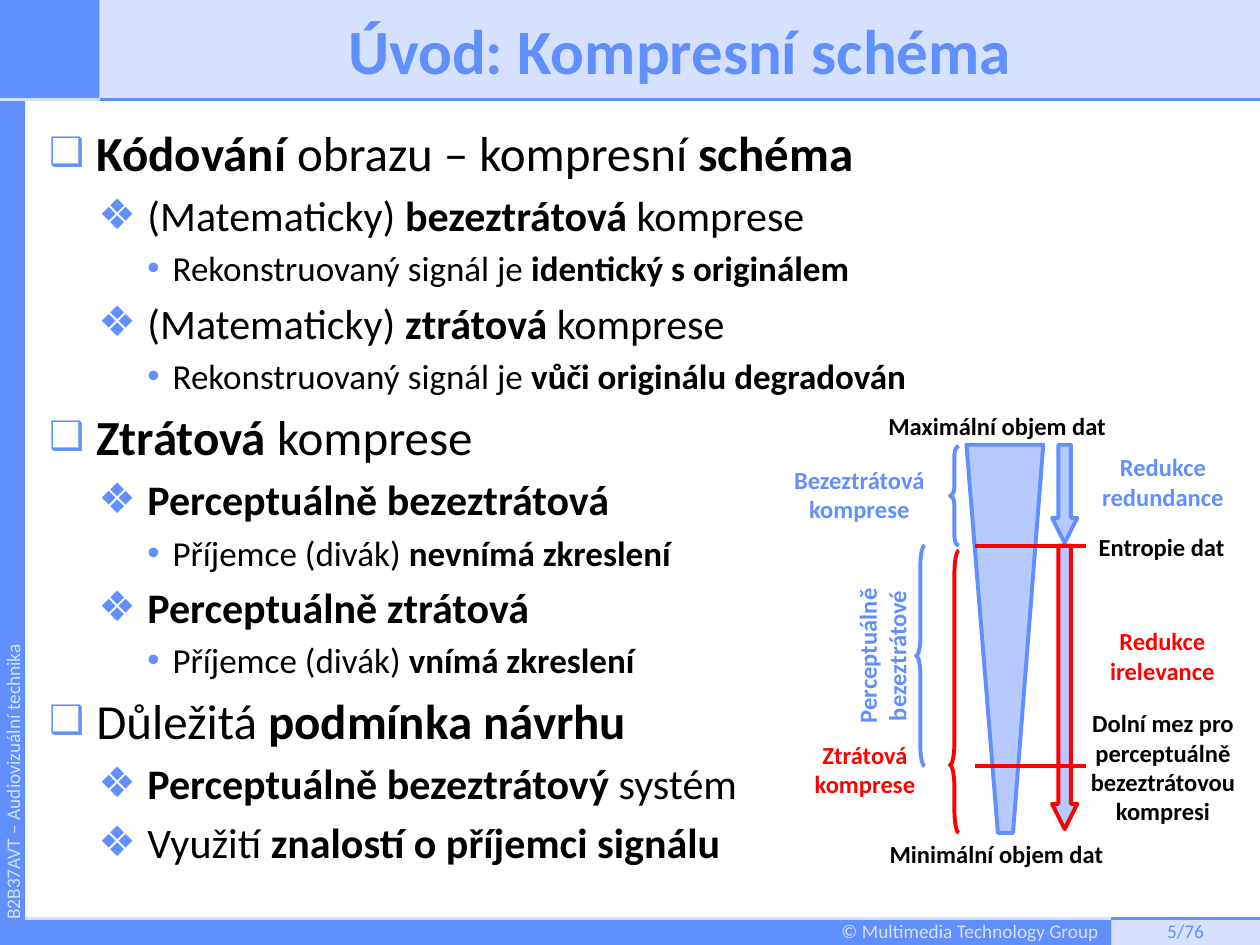
from typing import NamedTuple

from lxml.etree import SubElement
from pptx import Presentation
from pptx.dml.color import RGBColor
from pptx.enum.shapes import MSO_CONNECTOR, MSO_SHAPE
from pptx.enum.text import MSO_ANCHOR, MSO_AUTO_SIZE, PP_ALIGN
from pptx.oxml.ns import qn
from pptx.util import Inches, Pt

# The slide is a grid of 100 columns by 75 rows.
COLUMNS, ROWS = 100, 75
CELL = Inches(0.1)
HEADER, FOOTER, SIDEBAR, CORNER, PAGE_COLUMN = 7.9, 73, 2, 7.9, 88.2

BLUE, PALE, PALE_TEXT, FILL = "618FFD", "D5E1FF", "D5E0FF", "B7CAFF"
RED, BLACK = "FF0000", "000000"
FONT = "Calibri"
THICK = 2.25

# Levels of the diagram, as rows
TOP, ENTROPY, PERCEPTUAL_LIMIT, BOTTOM = 35.3, 43.3, 60.8, 66.1


class Area(NamedTuple):
    left: float
    top: float
    width: float
    height: float


class Stroke(NamedTuple):
    start: tuple[float, float]
    end: tuple[float, float]
    color: str
    width: float


class Label(NamedTuple):
    text: str
    area: Area
    color: str = BLACK
    wrap: bool = True
    rotation: int = 0


class Brace(NamedTuple):
    area: Area
    color: str
    curl: float
    tip: float = 0.5


class Level(NamedTuple):
    bullet: str
    bullet_percent: int
    size: int
    margin: float
    hang: float


LEVELS = [
    Level("❑", 80, 28, 3.75, 3.75),
    Level("❖", 100, 24, 7.8, 3.9),
    Level("•", 100, 20, 9.8, 2),
]

# Level and text; asterisks enclose bold words
OUTLINE = [
    (0, "*Kódování* obrazu – kompresní *schéma*"),
    (1, "(Matematicky) *bezeztrátová* komprese"),
    (2, "Rekonstruovaný signál je *identický s originálem*"),
    (1, "(Matematicky) *ztrátová* komprese"),
    (2, "Rekonstruovaný signál je *vůči originálu degradován*"),
    (0, "*Ztrátová* komprese"),
    (1, "*Perceptuálně bezeztrátová*"),
    (2, "Příjemce (divák) *nevnímá zkreslení*"),
    (1, "*Perceptuálně ztrátová*"),
    (2, "Příjemce (divák) *vnímá zkreslení*"),
    (0, "Důležitá *podmínka návrhu*"),
    (1, "*Perceptuálně bezeztrátový* systém"),
    (1, "Využití *znalostí o příjemci signálu*"),
]

FRAME_LINES = [
    Stroke((CORNER, HEADER), (COLUMNS, HEADER), BLUE, 2),
    Stroke((0, HEADER), (CORNER, HEADER), PALE_TEXT, 2),
    Stroke((PAGE_COLUMN, 72.9), (COLUMNS, 72.9), BLUE, 2),
    Stroke((SIDEBAR, 72.9), (PAGE_COLUMN, 72.9), PALE_TEXT, 2),
]

LABELS = [
    Label("Entropie dat", Area(87.2, 42.2, 10.1, 2.4), wrap=False),
    Label("Dolní mez pro perceptuálně bezeztrátovou kompresi", Area(83.4, 56.2, 17.8, 9.4)),
    Label("Redukce irelevance", Area(87, 49.7, 10.5, 4.8), RED),
    Label("Redukce redundance", Area(84.3, 35.9, 16, 4.7), BLUE),
    Label("Maximální objem dat", Area(70.5, 32.6, 17.4, 2.4), wrap=False),
    Label("Minimální objem dat", Area(70.6, 66.6, 17.1, 2.4), wrap=False),
    Label("Bezeztrátová komprese", Area(60.2, 36.9, 16, 4.7), BLUE),
    Label("Ztrátová komprese", Area(62.6, 58.7, 12.1, 4.7), RED),
    Label("Perceptuálně bezeztrátové", Area(61.9, 49.7, 16.2, 4.7), BLUE, rotation=270),
]

BRACES = [
    Brace(Area(75.4, 43.7, 0.7, 22.4), RED, 2.6, 0.76),
    Brace(Area(72.7, ENTROPY, 0.7, 17.5), BLUE, 2.1),
    Brace(Area(75.4, 35.4, 0.7, 7.9), BLUE, 1),
]

ARROWS = [
    (Area(83.5, TOP, 2, 7.8), BLUE),
    (Area(83.5, ENTROPY, 2, 22.5), RED),
]


def grid(*lengths):
    return [round(length * CELL) for length in lengths]


def rgb(color):
    return RGBColor.from_string(color)


def write(paragraph, text, *, size, color, bold=False, align=None):
    span = paragraph.add_run()
    span.text = text
    span.font.name = FONT
    span.font.size = Pt(size)
    span.font.bold = bold
    span.font.color.rgb = rgb(color)
    if align is not None:
        paragraph.alignment = align


def set_frame(box, *, insets=(0, 0, 0, 0), wrap=True, anchor=MSO_ANCHOR.TOP):
    """Set insets in columns: left, top, right, bottom."""
    frame = box.text_frame
    frame.auto_size = MSO_AUTO_SIZE.NONE
    frame.word_wrap = wrap
    frame.vertical_anchor = anchor
    (frame.margin_left, frame.margin_top,
     frame.margin_right, frame.margin_bottom) = grid(*insets)
    return frame


def paint(shape, fill=None, line=None):
    shape.shadow.inherit = False
    if fill:
        shape.fill.solid()
        shape.fill.fore_color.rgb = rgb(fill)
    else:
        shape.fill.background()
    if line:
        shape.line.color.rgb = rgb(line)
        shape.line.width = Pt(THICK)
    else:
        shape.line.fill.background()
    return shape


def draw_shape(page, kind, area: Area, fill=None, line=None, adjustments=()):
    shape = page.shapes.add_shape(kind, *grid(*area))
    for index, value in enumerate(adjustments):
        shape.adjustments[index] = value
    return paint(shape, fill, line)


def draw_stroke(page, stroke: Stroke):
    line = page.shapes.add_connector(
        MSO_CONNECTOR.STRAIGHT, *grid(*stroke.start, *stroke.end))
    line.line.color.rgb = rgb(stroke.color)
    line.line.width = Pt(stroke.width)
    SubElement(line.element.spPr, qn("a:effectLst"))


def draw_label(page, label: Label):
    box = page.shapes.add_textbox(*grid(*label.area))
    box.rotation = label.rotation
    frame = set_frame(box, wrap=label.wrap)
    write(frame.paragraphs[0], label.text, size=14, color=label.color, bold=True,
          align=PP_ALIGN.CENTER if label.wrap else PP_ALIGN.LEFT)


def draw_frame(page):
    bar = MSO_SHAPE.RECTANGLE
    draw_shape(page, bar, Area(0, 0, CORNER, HEADER), BLUE)
    draw_shape(page, bar, Area(CORNER, 0, COLUMNS - CORNER, HEADER), PALE)
    number = draw_shape(page, bar, Area(PAGE_COLUMN, FOOTER, COLUMNS - PAGE_COLUMN, 2), PALE)
    footer = draw_shape(page, bar, Area(0, FOOTER, PAGE_COLUMN, 2), BLUE)
    sidebar = draw_shape(page, bar, Area(0, HEADER, SIDEBAR, FOOTER - HEADER), BLUE)
    for box, text, color, align, insets in (
        (number, "5/76", BLUE, PP_ALIGN.CENTER, (1, 0, 1, 0.2)),
        (footer, "© Multimedia Technology Group", PALE_TEXT, PP_ALIGN.RIGHT, (1, 0, 1, 0.2)),
        (sidebar, "B2B37AVT – Audiovizuální technika", PALE_TEXT, PP_ALIGN.LEFT, (0, 0, 0, 0)),
    ):
        frame = set_frame(box, insets=insets, anchor=MSO_ANCHOR.MIDDLE)
        write(frame.paragraphs[0], text, size=11, color=color, align=align)
    sidebar.text_frame._txBody.bodyPr.set("vert", "vert270")
    for stroke in FRAME_LINES:
        draw_stroke(page, stroke)


def place(placeholder, area: Area):
    """Move a placeholder to an area, in front of the shapes drawn so far."""
    placeholder.left, placeholder.top, placeholder.width, placeholder.height = grid(*area)
    placeholder.element.getparent().append(placeholder.element)


def fill_title(title):
    place(title, Area(CORNER, 0, COLUMNS - CORNER, HEADER))
    frame = set_frame(title, insets=(1, 0.8, 1, 0), anchor=MSO_ANCHOR.MIDDLE)
    paragraph = frame.paragraphs[0]
    paragraph.line_spacing = 0.85
    write(paragraph, "Úvod: Kompresní schéma", size=36, color=BLUE, bold=True,
          align=PP_ALIGN.CENTER)


def set_bullet(paragraph, level: Level):
    properties = paragraph._p.get_or_add_pPr()
    margin, hang = grid(level.margin, level.hang)
    properties.set("marL", str(margin))
    properties.set("indent", str(-hang))
    color = SubElement(properties, qn("a:buClr"))
    SubElement(color, qn("a:srgbClr"), val=BLUE)
    SubElement(properties, qn("a:buSzPct"), val=str(level.bullet_percent * 1000))
    SubElement(properties, qn("a:buChar"), char=level.bullet)


def fill_outline(body):
    place(body, Area(2.9, 9.2, 95.1, 63.8))
    frame = set_frame(body, insets=(1, 0.5, 1, 0.5))
    for index, (depth, text) in enumerate(OUTLINE):
        paragraph = frame.add_paragraph() if index else frame.paragraphs[0]
        paragraph.level = depth
        set_bullet(paragraph, LEVELS[depth])
        if index == 0:
            paragraph.space_before = Pt(0)
        for part, words in enumerate(text.split("*")):
            if words:
                write(paragraph, words, size=LEVELS[depth].size, color=BLACK, bold=part % 2 == 1)


def draw_diagram(page):
    for label in LABELS:
        draw_label(page, label)
    for brace in BRACES:
        draw_shape(page, MSO_SHAPE.LEFT_BRACE, brace.area, line=brace.color,
                   adjustments=(brace.curl, brace.tip))
    funnel = page.shapes.build_freeform(*grid(76.7, TOP))
    funnel.add_line_segments(
        [grid(*point) for point in ((79.2, BOTTOM), (80.4, BOTTOM), (82.8, TOP))])
    paint(funnel.convert_to_shape(), FILL, BLUE)
    for area, color in ARROWS:
        draw_shape(page, MSO_SHAPE.DOWN_ARROW, area, FILL, color, (0.5, 1))
    for row in (PERCEPTUAL_LIMIT, ENTROPY):
        draw_stroke(page, Stroke((77.4, row), (86.2, row), RED, THICK))


def main():
    deck = Presentation()
    deck.slide_width, deck.slide_height = grid(COLUMNS, ROWS)
    page = deck.slides.add_slide(deck.slide_layouts[1])
    draw_frame(page)
    fill_title(page.shapes.title)
    fill_outline(page.placeholders[1])
    draw_diagram(page)
    deck.save("out.pptx")


if __name__ == "__main__":
    main()
